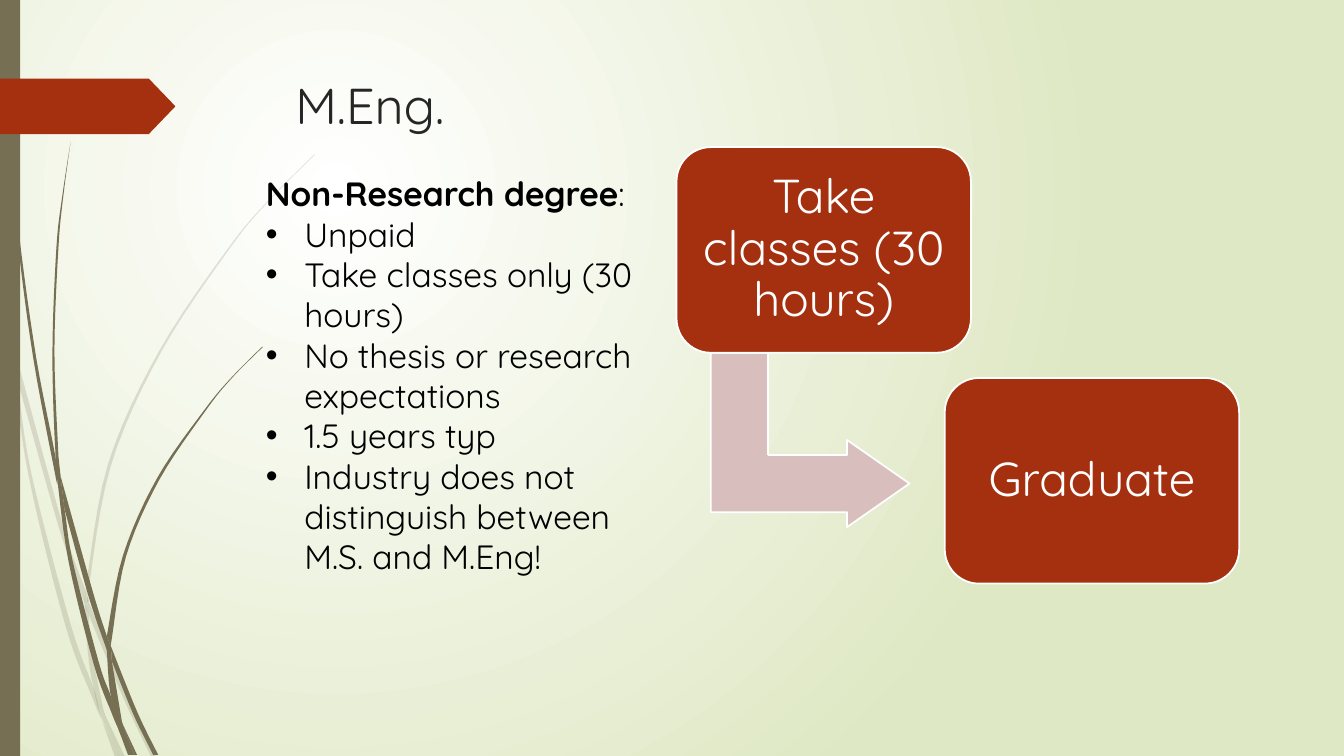
from dataclasses import dataclass

from lxml import etree
from pptx import Presentation
from pptx.dml.color import RGBColor
from pptx.enum import shapes, text
from pptx.oxml.ns import qn
from pptx.util import Inches, Pt

FONT = "Quicksand"
COLORS = {"white": "FFFFFF", "meadow": "DFE8C4", "stem": "766F54", "rust": "A53010",
          "blush": "D8BEBD", "heading": "262626", "body": "000000"}
Point = tuple[float, float]


@dataclass
class Blade:
    """A piece of grass: one edge going down, the other coming back up."""
    down: list[Point]
    up: list[Point]


@dataclass
class Step:
    label: str
    left: float
    top: float


PALE_GRASS = [
    Blade([(0, 2.82), (.09, 3.22), (.11, 3.5)], [(.1, 3.44), (0, 2.99)]),
    Blade([(.14, 3.45), (.62, 5.2), (.85, 5.86)], [(.84, 5.99), (.58, 5.22), (.17, 3.76)]),
    Blade([(.88, 5.96), (.92, 6.07), (1.27, 6.92), (1.55, 7.51)],
          [(1.5, 7.51), (1.23, 6.94), (.88, 6.1)]),
    Blade([(1.05, 7.11), (1.24, 7.51)], [(1.19, 7.51)]),
    Blade([(.11, 3.5), (.17, 3.76), (.31, 4.69), (.7, 6.19), (.93, 6.83), (.99, 7.07)],
          [(1.01, 7.14), (.92, 6.93), (.65, 6.21), (.28, 4.7), (.11, 3.5)]),
    Blade([(.84, 5.99), (.87, 6.46), (.93, 6.83), (1.05, 7.11)],
          [(1.03, 7.06), (.91, 6.46), (.88, 6.1), (.88, 6.08)]),
    Blade([(3.12, 1.53), (2.68, 1.97), (2.28, 2.44), (1.58, 3.48), (1.07, 4.61), (.85, 5.84)],
          [(.88, 5.96), (.88, 5.84), (1.1, 4.62), (1.6, 3.49), (2.29, 2.45), (2.68, 1.98),
           (3.12, 1.54)]),
    Blade([(1.01, 7.14), (1.14, 7.51)], [(1.19, 7.51)]),
    Blade([(.85, 5.86), (.84, 5.99), (.88, 6.08)], [(.88, 6.1), (.88, 5.96)]),
    Blade([(.93, 6.83), (.99, 7.07), (1.19, 7.51)], [(1.05, 7.11), (.96, 6.92)]),
]
DARK_GRASS = [
    Blade([(.04, 0), (.08, 1.09), (.19, 2.32), (.36, 3.55), (.55, 4.53), (.57, 4.81)],
          [(.56, 4.77), (.33, 3.55), (.17, 2.33), (.07, 1.1), (.03, 0)]),
    Blade([(.6, 4.72), (.93, 5.9), (1.06, 6.31)], [(1.06, 6.45), (.88, 5.92), (.64, 5.05)]),
    Blade([(1.1, 6.41), (1.36, 7.06), (1.57, 7.49)], [(1.52, 7.49), (1.32, 7.08), (1.11, 6.56)]),
    Blade([(.57, 4.77), (.64, 5.05), (.72, 5.56), (.98, 6.57), (1.1, 6.91), (1.16, 7.17)],
          [(1.17, 7.22), (1.11, 7.08), (.93, 6.59), (.68, 5.57), (.57, 4.77)]),
    Blade([(.7, 1.41), (.62, 1.93), (.56, 2.45), (.52, 3.49), (.55, 4.49), (.6, 4.72)],
          [(.58, 4.53), (.54, 3.49), (.58, 2.45), (.63, 1.93), (.7, 1.41)]),
    Blade([(1.22, 7.19), (1.33, 7.49)], [(1.36, 7.49)]),
    Blade([(.55, 4.49), (.57, 4.77), (.64, 5.05)], [(.6, 4.72)]),
    Blade([(2.6, 3.44), (2.31, 3.73), (2.04, 4.05), (1.56, 4.74), (1.22, 5.51), (1.06, 6.31)],
          [(1.1, 6.41), (1.11, 6.33), (1.25, 5.52), (1.58, 4.76), (2.05, 4.06), (2.31, 3.74),
           (2.61, 3.44)]),
    Blade([(1.17, 7.22), (1.27, 7.49)], [(1.31, 7.49)]),
    Blade([(1.06, 6.45), (1.1, 6.91), (1.22, 7.19)], [(1.21, 7.16), (1.11, 6.56)]),
    Blade([(1.06, 6.31), (1.06, 6.45), (1.11, 6.56)], [(1.1, 6.41)]),
    Blade([(1.1, 6.91), (1.17, 7.22), (1.3, 7.49)], [(1.33, 7.49), (1.22, 7.19), (1.16, 7.06)]),
]
STEPS = [Step("Take classes (30 hours)", 6.71, 1.46), Step("Graduate", 9.37, 3.75)]
DEGREE_FACTS = ["Unpaid", "Take classes only (30 hours)", "No thesis or research expectations",
                "1.5 years typ", "Industry does not distinguish between M.S. and M.Eng!"]


def rgb(name: str) -> RGBColor:
    return RGBColor.from_string(COLORS[name])


def paint(shape, fill: str, line: str | None = None, opacity: int = 100) -> None:
    shape.shadow.inherit = False
    shape.fill.solid()
    shape.fill.fore_color.rgb = rgb(fill)
    if opacity < 100:
        tint = shape._element.spPr.find(qn("a:solidFill"))[0]
        etree.SubElement(tint, qn("a:alpha")).set("val", str(opacity * 1000))
    if line:
        shape.line.color.rgb = rgb(line)
        shape.line.width = Pt(1.25)
    else:
        shape.line.fill.background()


def add_preset(slide, kind, box: tuple[float, ...], fill: str, line: str | None = None,
               adjust: tuple[float, ...] = ()):
    shape = slide.shapes.add_shape(kind, *map(Inches, box))
    for index, value in enumerate(adjust):
        shape.adjustments[index] = value
    paint(shape, fill, line)
    return shape


def add_frame(slide, box: tuple[float, ...]):
    frame = slide.shapes.add_textbox(*map(Inches, box)).text_frame
    frame.word_wrap = True
    return frame


def write(paragraph, words: str, *, size: float, color: str, bold: bool = False,
          bullet: bool = False) -> None:
    run = paragraph.add_run()
    run.text = words
    run.font.name, run.font.size, run.font.bold = FONT, Pt(size), bold
    run.font.color.rgb = rgb(color)
    if bullet:
        props = paragraph._p.get_or_add_pPr()
        props.set("marL", str(Inches(.38)))
        props.set("indent", str(-Inches(.38)))
        etree.SubElement(props, qn("a:buFont")).set("typeface", "Arial")
        etree.SubElement(props, qn("a:buChar")).set("char", "•")


def smooth(knots: list[Point], parts: int = 6) -> list[Point]:
    """Catmull-Rom curve through the knots, in EMU."""
    ends = [knots[0], *knots, knots[-1]]
    curve = [knots[0]]
    for stretch in zip(ends, ends[1:], ends[2:], ends[3:]):
        for t in (part / parts for part in range(1, parts + 1)):
            curve.append(tuple(
                q + .5 * t * (r - p + t * (2 * p - 5 * q + 4 * r - s + t * (3 * (q - r) + s - p)))
                for p, q, r, s in zip(*stretch)))
    return [(Inches(x), Inches(y)) for x, y in curve]


def add_blade(slide, blade: Blade, opacity: int) -> None:
    start, *rest = smooth(blade.down) + smooth(blade.up)
    outline = slide.shapes.build_freeform(*start)
    outline.add_line_segments(rest, close=True)
    paint(outline.convert_to_shape(), "stem", opacity=opacity)


def add_step(slide, step: Step) -> None:
    card = add_preset(slide, shapes.MSO_SHAPE.ROUNDED_RECTANGLE,
                      (step.left, step.top, 2.92, 2.04), "rust", "white", (.167,))
    frame = card.text_frame
    frame.word_wrap = True
    frame.vertical_anchor = text.MSO_ANCHOR.MIDDLE
    frame.margin_left = frame.margin_right = Inches(.14)
    frame.margin_top = frame.margin_bottom = Inches(.14)
    label = frame.paragraphs[0]
    label.alignment, label.line_spacing = text.PP_ALIGN.CENTER, .9
    write(label, step.label, size=34, color="white")


def add_background(slide) -> None:
    fill = slide.background.fill
    fill.gradient()
    for stop, name, position in zip(fill.gradient_stops, ("white", "meadow"), (0, 1)):
        stop.color.rgb = rgb(name)
        stop.position = position
    gradient = slide._element.find(".//" + qn("a:gradFill"))
    gradient.remove(gradient.find(qn("a:lin")))
    glow = etree.SubElement(gradient, qn("a:path"))
    glow.set("path", "circle")
    center = etree.SubElement(glow, qn("a:fillToRect"))
    for side, percent in zip("ltrb", (50, 50, 100, 100)):
        center.set(side, str(percent * 1000))


def main() -> None:
    deck = Presentation()
    deck.slide_width, deck.slide_height = Inches(13.33), Inches(7.5)
    slide = deck.slides.add_slide(deck.slide_layouts[6])

    # Backdrop: glow, grass, side bar and title marker
    add_background(slide)
    for grass, opacity in ((PALE_GRASS, 20), (DARK_GRASS, 100)):
        for blade in grass:
            add_blade(slide, blade, opacity)
    add_preset(slide, shapes.MSO_SHAPE.RECTANGLE, (0, 0, .2, 7.5), "stem")
    add_preset(slide, shapes.MSO_SHAPE.PENTAGON, (0, .78, 1.74, .55), "rust", adjust=(.48,))

    # Title and degree description
    write(add_frame(slide, (2.83, .69, 9.75, 1.4)).paragraphs[0], "M.Eng.", size=36, color="heading")
    degree = add_frame(slide, (2.54, 1.67, 4, 4.14))
    write(degree.paragraphs[0], "Non-Research degree", size=24, color="body", bold=True)
    write(degree.paragraphs[0], ":", size=24, color="body")
    for fact in DEGREE_FACTS:
        write(degree.add_paragraph(), fact, size=24, color="body", bullet=True)

    # Path to graduation
    turn = add_preset(slide, shapes.MSO_SHAPE.BENT_UP_ARROW, (7.17, 3.38, 1.73, 1.97),
                      "blush", "white", (.328, .25, .358))
    turn.rotation = 90
    for step in STEPS:
        add_step(slide, step)
    deck.save("out.pptx")


if __name__ == "__main__":
    main()
